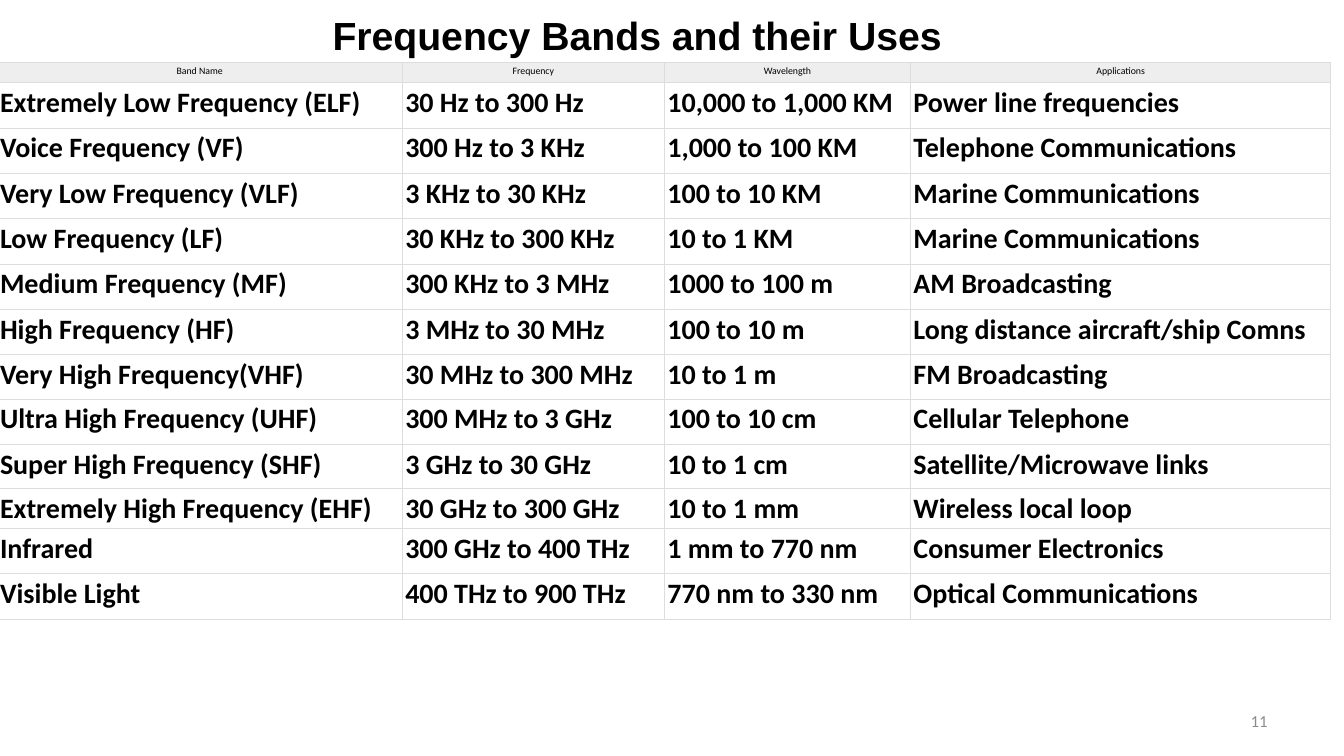
from typing import NamedTuple

from lxml import etree
from pptx import Presentation
from pptx import util as u
from pptx.dml.color import RGBColor
from pptx.enum import text
from pptx.oxml import ns

EMU_PER_PX = 9144  # 100 px to the inch
COLORS = {"ink": "000000", "page_number": "8C8C8C", "header": "EEEEEE", "border": "DDDDDD"}
CELL_MARGIN = 3
COLUMN_WIDTHS = [402, 260, 244, 417]
HEADER_HEIGHT = 20
HEADINGS = ("Band Name", "Frequency", "Wavelength", "Applications")


class Band(NamedTuple):
    name: str
    frequency: str
    wavelength: str
    application: str
    height: int = 45


class Style(NamedTuple):
    font: str
    size: int
    color: str = "ink"
    bold: bool = False
    align: text.PP_ALIGN = text.PP_ALIGN.LEFT


BANDS = [
    Band("Extremely Low Frequency (ELF)", "30 Hz to 300 Hz", "10,000 to 1,000 KM", "Power line frequencies"),
    Band("Voice Frequency (VF)", "300 Hz to 3 KHz", "1,000 to 100 KM", "Telephone Communications"),
    Band("Very Low Frequency (VLF)", "3 KHz to 30 KHz", "100 to 10 KM", "Marine Communications"),
    Band("Low Frequency (LF)", "30 KHz to 300 KHz", "10 to 1 KM", "Marine Communications"),
    Band("Medium Frequency (MF)", "300 KHz to 3 MHz", "1000 to 100 m", "AM Broadcasting"),
    Band("High Frequency (HF)", "3 MHz to 30 MHz", "100 to 10 m", "Long distance aircraft/ship Comns"),
    Band("Very High Frequency(VHF)", "30 MHz to 300 MHz", "10 to 1 m", "FM Broadcasting", 44),
    Band("Ultra High Frequency (UHF)", "300 MHz to 3 GHz", "100 to 10 cm", "Cellular Telephone"),
    Band("Super High Frequency (SHF)", "3 GHz to 30 GHz", "10 to 1 cm", "Satellite/Microwave links", 44),
    Band("Extremely High Frequency (EHF)", "30 GHz to 300 GHz", "10 to 1 mm", "Wireless local loop", 39),
    Band("Infrared", "300 GHz to 400 THz", "1 mm to 770 nm", "Consumer Electronics"),
    Band("Visible Light", "400 THz to 900 THz", "770 nm to 330 nm", "Optical Communications"),
]

TITLE = Style("Arial", 28, bold=True)
PAGE_NUMBER = Style("Calibri", 12, "page_number", align=text.PP_ALIGN.RIGHT)
HEADING = Style("Calibri", 7, align=text.PP_ALIGN.CENTER)
BODY = Style("Calibri", 20, bold=True)


def px(length: int) -> u.Emu:
    return u.Emu(length * EMU_PER_PX)


def write(frame, wording: str, style: Style) -> None:
    paragraph = frame.paragraphs[0]
    paragraph.text = wording
    paragraph.alignment = style.align
    font = paragraph.font
    font.name, font.size, font.bold = style.font, u.Pt(style.size), style.bold
    font.color.rgb = RGBColor.from_string(COLORS[style.color])


def add_text(slide, box: tuple[int, int, int, int], wording: str, style: Style,
             anchor: text.MSO_ANCHOR, top_margin: int = 5) -> None:
    frame = slide.shapes.add_textbox(*map(px, box)).text_frame
    frame.word_wrap = True
    frame.vertical_anchor = anchor
    frame.margin_top = px(top_margin)
    write(frame, wording, style)


def add_borders(cell) -> None:
    properties = cell._tc.get_or_add_tcPr()
    for side in ("lnL", "lnR", "lnT", "lnB"):
        line = etree.SubElement(properties, ns.qn(f"a:{side}"), w=str(u.Pt(0.75)))
        fill = etree.SubElement(line, ns.qn("a:solidFill"))
        etree.SubElement(fill, ns.qn("a:srgbClr"), val=COLORS["border"])


def fill_cell(cell, wording: str, is_header: bool) -> None:
    cell.margin_left = cell.margin_right = px(CELL_MARGIN)
    cell.margin_top = cell.margin_bottom = px(CELL_MARGIN)
    add_borders(cell)
    if is_header:
        cell.fill.solid()
        cell.fill.fore_color.rgb = RGBColor.from_string(COLORS["header"])
    else:
        cell.fill.background()
    write(cell.text_frame, wording, HEADING if is_header else BODY)


def add_band_table(slide, left: int, top: int) -> None:
    heights = [HEADER_HEIGHT, *(band.height for band in BANDS)]
    rows = [HEADINGS, *(band[:len(HEADINGS)] for band in BANDS)]
    table = slide.shapes.add_table(len(rows), len(HEADINGS), px(left), px(top),
                                   px(sum(COLUMN_WIDTHS)), px(sum(heights))).table
    table.first_row = table.horz_banding = False
    for column, width in zip(table.columns, COLUMN_WIDTHS):
        column.width = px(width)
    for index, (row, height, wordings) in enumerate(zip(table.rows, heights, rows)):
        row.height = px(height)
        for cell, wording in zip(row.cells, wordings):
            fill_cell(cell, wording, is_header=index == 0)


def main() -> None:
    presentation = Presentation()
    presentation.slide_width, presentation.slide_height = px(1333), px(750)
    slide = presentation.slides.add_slide(presentation.slide_layouts[6])
    add_text(slide, (956, 695, 311, 40), "11", PAGE_NUMBER, text.MSO_ANCHOR.MIDDLE)
    add_band_table(slide, -3, 62)
    add_text(slide, (320, 3, 640, 104), "Frequency Bands and their Uses", TITLE,
             text.MSO_ANCHOR.TOP, top_margin=8)
    presentation.save("out.pptx")


if __name__ == "__main__":
    main()
